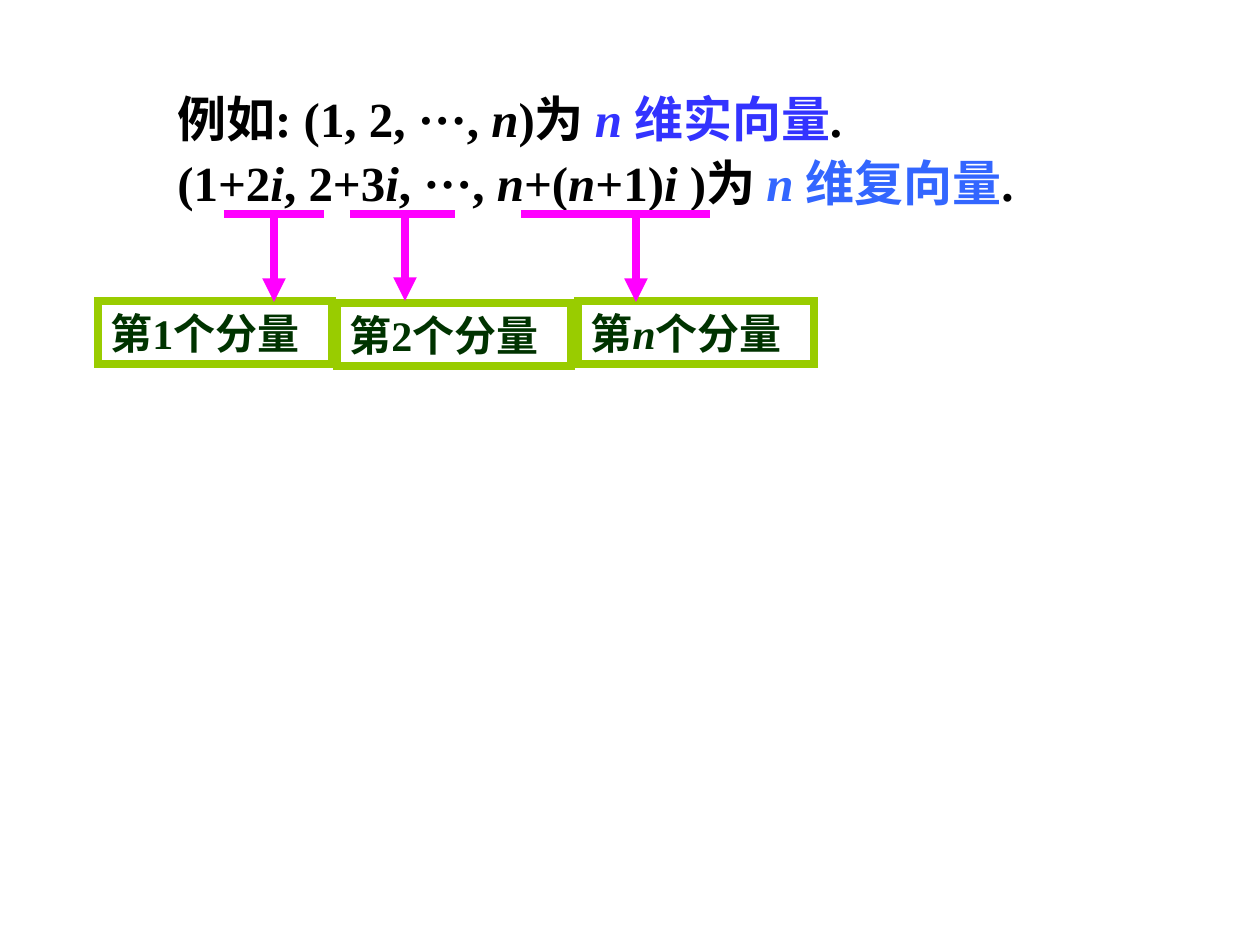
"""Build the slide on real and complex n-dimensional vectors."""
import dataclasses
import typing

import pptx
import pptx.dml.color
import pptx.enum.shapes
import pptx.enum.text
import pptx.oxml.ns
import pptx.util

PX = 914400 / 126
BLACK, REAL_BLUE, COMPLEX_BLUE = "000000", "3333FF", "3366FF"
MAGENTA, LIME, DARK_GREEN = "FF00FF", "99CC00", "003300"
BORDER_PT = 4.5
UNDERLINE_Y = 214


@dataclasses.dataclass(frozen=True)
class Run:
    """A piece of text in one style."""

    text: str
    color: str = BLACK
    italic: bool = False


@dataclasses.dataclass(frozen=True)
class Component:
    """An underlined vector component with an arrow to its label box."""

    underline: tuple[int, int]
    arrow: tuple[int, int, int]
    box: tuple[int, int, int, int]
    label: tuple[Run, ...]


EXAMPLES = (
    (
        Run("例如: (1, 2, ···, "),
        Run("n", italic=True),
        Run(")为 "),
        Run("n ", REAL_BLUE, True),
        Run("维实向量", REAL_BLUE),
        Run("."),
    ),
    (
        Run("(1+2"),
        Run("i", italic=True),
        Run(", 2+3"),
        Run("i", italic=True),
        Run(", ···, "),
        Run("n", italic=True),
        Run("+("),
        Run("n", italic=True),
        Run("+1)"),
        Run("i ", italic=True),
        Run(")为 "),
        Run("n ", COMPLEX_BLUE, True),
        Run("维复向量", COMPLEX_BLUE),
        Run("."),
    ),
)
COMPONENTS = (
    Component((350, 455), (405, 217, 301), (337, 303, 234, 63),
              (Run("第2个分量", DARK_GREEN),)),
    Component((521, 710), (636, 218, 302), (578, 301, 236, 63),
              (Run("第", DARK_GREEN), Run("n", DARK_GREEN, True),
               Run("个分量", DARK_GREEN))),
    Component((224, 324), (274, 218, 302), (98, 301, 234, 63),
              (Run("第1个分量", DARK_GREEN),)),
)
EXAMPLES_FRAME = {
    "word_wrap": False,
    "auto_size": pptx.enum.text.MSO_AUTO_SIZE.SHAPE_TO_FIT_TEXT,
}
LABEL_FRAME = {
    "word_wrap": True,
    "auto_size": pptx.enum.text.MSO_AUTO_SIZE.NONE,
    "vertical_anchor": pptx.enum.text.MSO_ANCHOR.TOP,
    "margin_right": 0,
}


def px(*lengths: int) -> list[int]:
    """Turn pixel lengths into EMU."""
    return [round(length * PX) for length in lengths]


def rgb(color: str) -> pptx.dml.color.RGBColor:
    """Turn a hex string into a colour."""
    return pptx.dml.color.RGBColor.from_string(color)


def apply(target: typing.Any, values: dict[str, typing.Any]) -> None:
    """Set each named attribute on the target."""
    for name, value in values.items():
        setattr(target, name, value)


def add_child(parent: typing.Any, tag: str, **attributes: str) -> None:
    """Append an empty XML element to the parent."""
    parent.append(parent.makeelement(pptx.oxml.ns.qn(tag), attributes))


def write(frame: typing.Any, lines: typing.Sequence[typing.Sequence[Run]],
          size: int, spacing: float) -> None:
    """Fill a text frame with bold, left-aligned lines of runs."""
    for index, line in enumerate(lines):
        paragraph = frame.add_paragraph() if index else frame.paragraphs[0]
        apply(paragraph, {"alignment": pptx.enum.text.PP_ALIGN.LEFT,
                          "line_spacing": spacing})
        for part in line:
            run = paragraph.add_run()
            run.text = part.text
            apply(run.font, {"name": "Times New Roman", "bold": True,
                             "size": pptx.util.Pt(size), "italic": part.italic})
            run.font.color.rgb = rgb(part.color)


def outline(shape: typing.Any, color: str) -> typing.Any:
    """Give a shape or connector its thick line and return the line's XML."""
    shape.line.color.rgb = rgb(color)
    shape.line.width = pptx.util.Pt(BORDER_PT)
    return shape._element.spPr.find(pptx.oxml.ns.qn("a:ln"))


def draw_line(shapes: typing.Any, start: tuple[int, int], end: tuple[int, int],
              arrow: bool = False) -> None:
    """Draw a magenta line, with an arrowhead at its end if asked."""
    line = shapes.add_connector(pptx.enum.shapes.MSO_CONNECTOR.STRAIGHT,
                                *px(*start, *end))
    stroke = outline(line, MAGENTA)
    if arrow:
        add_child(stroke, "a:tailEnd", type="triangle")
    add_child(line._element.spPr, "a:effectLst")


def draw_component(shapes: typing.Any, component: Component) -> None:
    """Draw one underline, label box and arrow as a group."""
    group = shapes.add_group_shape().shapes
    left, right = component.underline
    x, top, bottom = component.arrow
    draw_line(group, (left, UNDERLINE_Y), (right, UNDERLINE_Y))
    box = group.add_shape(pptx.enum.shapes.MSO_SHAPE.RECTANGLE, *px(*component.box))
    box.shadow.inherit = False
    box.fill.background()
    add_child(outline(box, LIME), "a:miter", lim="800000")
    apply(box.text_frame, LABEL_FRAME)
    write(box.text_frame, [component.label], 24, 1.0)
    draw_line(group, (x, top), (x, bottom), arrow=True)


def main() -> None:
    """Build and save the slide."""
    deck = pptx.Presentation()
    deck.slide_width, deck.slide_height = px(1260, 945)
    slide = deck.slides.add_slide(deck.slide_layouts[6])
    examples = slide.shapes.add_textbox(*px(165, 76, 908, 142))
    apply(examples.text_frame, EXAMPLES_FRAME)
    write(examples.text_frame, EXAMPLES, 28, 1.1)
    for component in COMPONENTS:
        draw_component(slide.shapes, component)
    deck.save("out.pptx")


if __name__ == "__main__":
    main()
